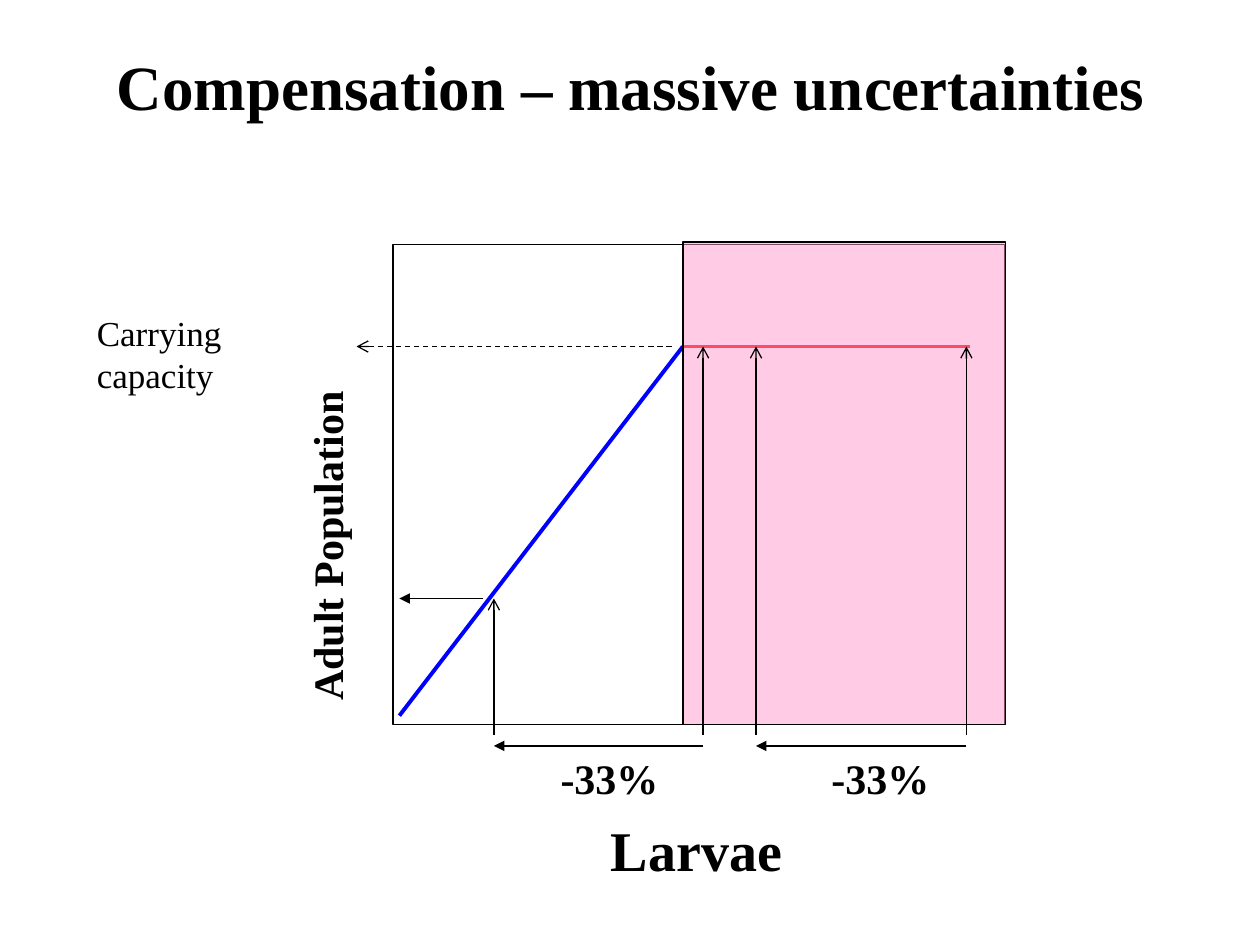
import pptx
import pptx.dml.color
import pptx.enum.dml
import pptx.enum.shapes
import pptx.oxml.ns
import pptx.util
from lxml import etree

Inches = pptx.util.Inches
Pt = pptx.util.Pt
qn = pptx.oxml.ns.qn

COLORS = {"ink": "000000", "limit": "FF0000", "growth": "0000FF", "zone": "FF99CC"}
FONT = "Times New Roman"
CAPACITY_Y, REDUCED_Y = 2.75, 4.75
AXIS_Y, SHIFT_Y = 5.83, 5.92
ORIGIN_X, KNEE_X = 3.17, 5.42


def rgb(name):
    """Return the palette colour called name."""
    return pptx.dml.color.RGBColor.from_string(COLORS[name])


def add_text(s, text, left, top, width, height, size=24, bold=True,
             wrap=False, rotation=0, margin_right=0.1):
    """Add a one-paragraph text box."""
    sp = s.shapes.add_textbox(Inches(left), Inches(top), Inches(width), Inches(height))
    sp.rotation = rotation
    tf = sp.text_frame
    tf.word_wrap = wrap
    tf.margin_right = Inches(margin_right)
    r = tf.paragraphs[0].add_run()
    r.text = text
    r.font.name = FONT
    r.font.size = Pt(size)
    r.font.bold = bold
    r.font.color.rgb = rgb("ink")


def add_box(s, left, top, width, height, fill=None, opacity=100):
    """Add a thinly outlined rectangle, optionally with a translucent fill."""
    sp = s.shapes.add_shape(pptx.enum.shapes.MSO_SHAPE.RECTANGLE,
                            Inches(left), Inches(top), Inches(width), Inches(height))
    sp.shadow.inherit = False
    sp.line.color.rgb = rgb("ink")
    sp.line.width = Pt(0.75)
    if fill is None:
        sp.fill.background()
        return
    sp.fill.solid()
    sp.fill.fore_color.rgb = rgb(fill)
    color = sp.fill._xPr.find(qn("a:solidFill"))[0]
    etree.SubElement(color, qn("a:alpha")).set("val", str(opacity * 1000))


def add_line(s, x1, y1, x2, y2, color="ink", width=0.75, head=None, dashed=False):
    """Add a straight line with an optional arrowhead at its end."""
    sp = s.shapes.add_connector(pptx.enum.shapes.MSO_CONNECTOR.STRAIGHT,
                                Inches(x1), Inches(y1), Inches(x2), Inches(y2))
    sp.line.color.rgb = rgb(color)
    sp.line.width = Pt(width)
    if dashed:
        sp.line.dash_style = pptx.enum.dml.MSO_LINE.DASH
    if head:
        etree.SubElement(sp.line._get_or_add_ln(), qn("a:tailEnd")).set("type", head)
    etree.SubElement(sp._element.spPr, qn("a:effectLst"))


def main():
    """Build the compensation slide."""
    prs = pptx.Presentation()
    prs.slide_width, prs.slide_height = Inches(10), Inches(7.5)
    s = prs.slides.add_slide(prs.slide_layouts[6])

    add_box(s, 3.12, 1.94, 4.85, 3.81)
    add_text(s, "Larvae", 4.75, 6.42, 1.95, 0.63, size=32, wrap=True)
    add_text(s, "Adult Population", 1.26, 4.08, 2.66, 0.5, rotation=270)

    add_line(s, KNEE_X, CAPACITY_Y, 7.7, CAPACITY_Y, color="limit", width=2.25)
    add_line(s, ORIGIN_X, 5.68, KNEE_X, CAPACITY_Y, color="growth", width=2.25)
    add_box(s, KNEE_X, 1.92, 2.56, 3.83, fill="zone", opacity=50)

    add_line(s, 5.33, CAPACITY_Y, 2.83, CAPACITY_Y, head="arrow", dashed=True)
    add_text(s, "Carrying capacity", 0.67, 2.42, 2.18, 0.43, size=20, bold=False,
             wrap=True, margin_right=0.6)

    shifts = [(7.67, 6, CAPACITY_Y, 6.5), (5.58, 3.92, REDUCED_Y, 4.35)]
    for before, after, after_y, label_x in shifts:
        add_line(s, before, SHIFT_Y, after, SHIFT_Y, head="triangle")
        add_line(s, before, AXIS_Y, before, CAPACITY_Y, head="arrow")
        add_line(s, after, AXIS_Y, after, after_y, head="arrow")
        add_text(s, "-33%", label_x, SHIFT_Y, 0.98, 0.5)
    add_line(s, 3.83, REDUCED_Y, ORIGIN_X, REDUCED_Y, head="triangle")

    add_text(s, "Compensation – massive uncertainties", 0.83, 0.33, 8.35, 0.7, size=36)
    prs.save("out.pptx")


if __name__ == "__main__":
    main()
